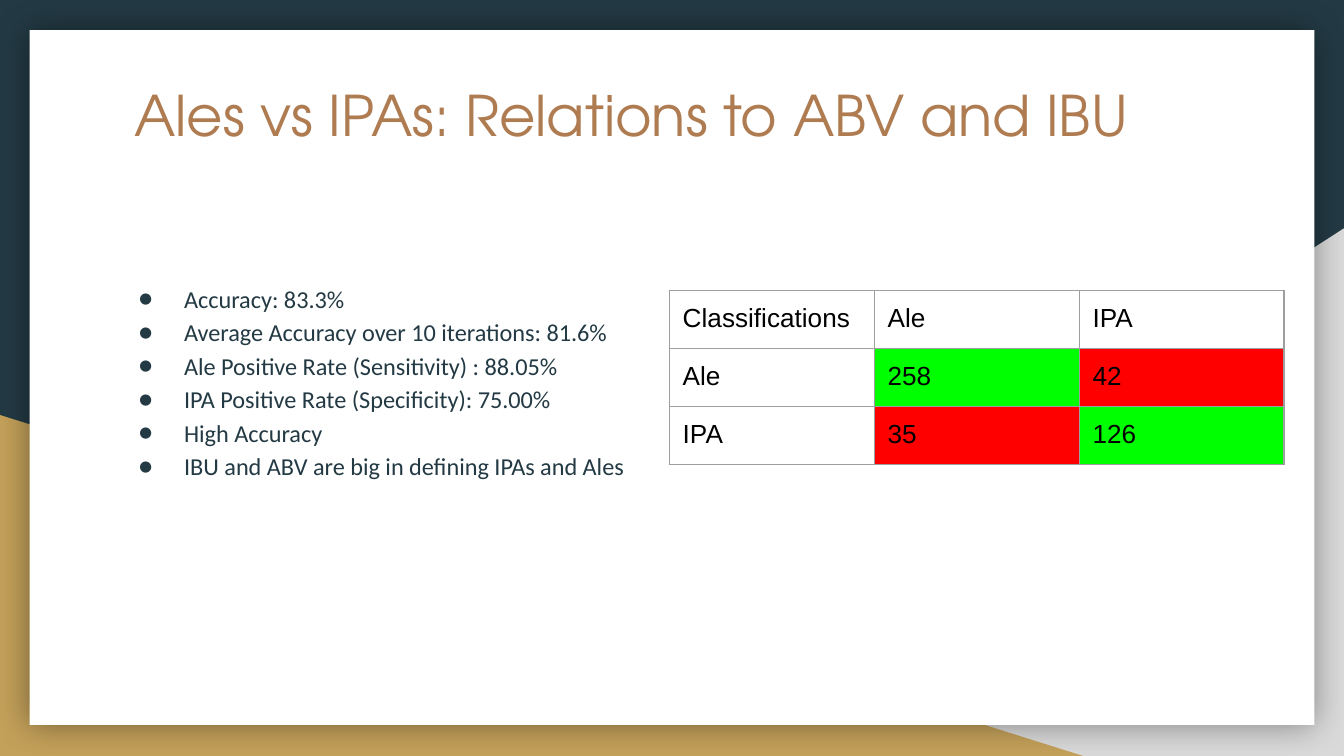
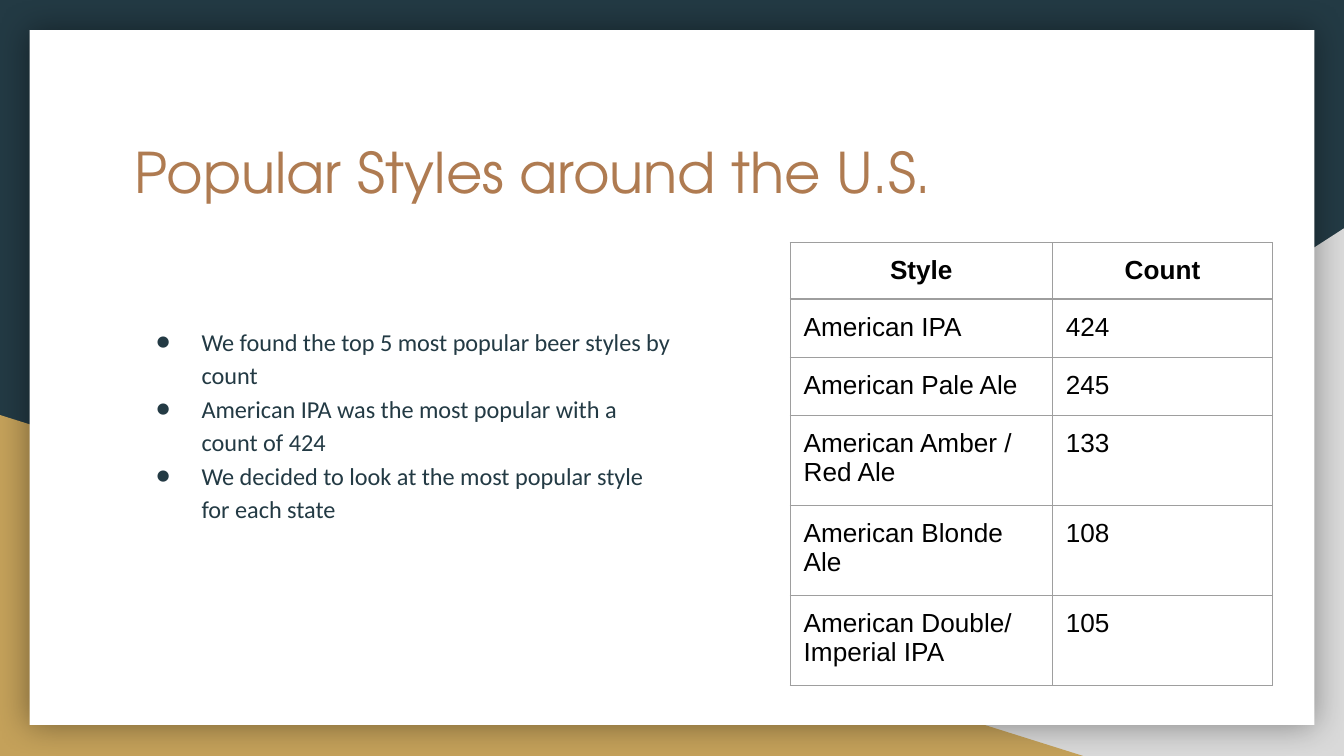
"""Build two slides on beer styles: a confusion matrix and a ranking of styles."""
from lxml import etree
from pptx import Presentation
from pptx import util as u
from pptx.dml.color import RGBColor
from pptx.enum import shapes, text
from pptx.oxml import ns

COLORS = {
    "navy": "233A44", "gold": "C4A15A", "silver": "D9D9D9", "white": "FFFFFF",
    "copper": "AF7B51", "black": "000000", "grid": "9E9E9E",
    "hit": "00FF00", "miss": "FF0000",
}
SLIDE_W, SLIDE_H = u.Inches(10), u.Inches(5.625)
INSET = u.Inches(0.1)


def across(share):
    return round(SLIDE_W * share / 100)


def down(share):
    return round(SLIDE_H * share / 100)


def to_emu(box):
    left, top, width, height = box
    return across(left), down(top), across(width), down(height)


def rgb(name):
    return RGBColor.from_string(COLORS[name])


def add_node(parent, tag, **attributes):
    node = etree.SubElement(parent, ns.qn(tag))
    for key, value in attributes.items():
        node.set(key, str(value))
    return node


def style_runs(paragraph, font, size, color, bold=False):
    for run in paragraph.runs:
        run.font.name, run.font.size, run.font.bold = font, u.Pt(size), bold
        run.font.color.rgb = rgb(color)


def set_insets(holder):
    holder.margin_left = holder.margin_right = INSET
    holder.margin_top = holder.margin_bottom = INSET


def fill_placeholder(placeholder, box, lines):
    placeholder.left, placeholder.top, placeholder.width, placeholder.height = to_emu(box)
    frame = placeholder.text_frame
    frame.text = "\n".join(lines)
    frame.word_wrap = True
    frame.auto_size = text.MSO_AUTO_SIZE.NONE
    frame.vertical_anchor = text.MSO_ANCHOR.TOP
    set_insets(frame)
    for paragraph in frame.paragraphs:
        paragraph.alignment = text.PP_ALIGN.LEFT
        paragraph.space_before = u.Pt(0)
    return frame.paragraphs


def add_title(slide, box, title):
    for paragraph in fill_placeholder(slide.shapes.title, box, [title]):
        style_runs(paragraph, "TeX Gyre Adventor", 30, "copper")


def add_findings(slide, box, findings):
    for paragraph in fill_placeholder(slide.placeholders[1], box, findings):
        paragraph.line_spacing = 1.15
        style_runs(paragraph, "Calibri", 13, "navy")
        props = paragraph._p.get_or_add_pPr()
        props.set("marL", str(u.Inches(0.5)))
        props.set("indent", str(u.Inches(-0.34)))
        add_node(add_node(props, "a:buClr"), "a:srgbClr", val=COLORS["navy"])
        add_node(props, "a:buFont", typeface="Calibri")
        add_node(props, "a:buChar", char="●")


def outline_cell(cell):
    props = cell._tc.get_or_add_tcPr()
    for position, side in enumerate(("a:lnL", "a:lnR", "a:lnT", "a:lnB")):
        line = add_node(props, side, w=u.Pt(0.75))
        add_node(add_node(line, "a:solidFill"), "a:srgbClr", val=COLORS["grid"])
        props.insert(position, line)


def add_grid(slide, corner, columns, heights, rows, fills=None, bold_header=False):
    box = to_emu((*corner, sum(columns), sum(heights)))
    table = slide.shapes.add_table(len(rows), len(columns), *box).table
    table.first_row = table.horz_banding = False
    for column, width in zip(table.columns, columns):
        column.width = across(width)
    for r, (row, height) in enumerate(zip(rows, heights)):
        table.rows[r].height = down(height)
        heading = bold_header and r == 0
        for c, value in enumerate(row):
            cell = table.cell(r, c)
            cell.text_frame.text = value
            set_insets(cell)
            paragraph = cell.text_frame.paragraphs[0]
            paragraph.alignment = text.PP_ALIGN.CENTER if heading else text.PP_ALIGN.LEFT
            style_runs(paragraph, "Arial", 14, "black", heading)
            shade = (fills or {}).get((r, c))
            if shade:
                cell.fill.solid()
                cell.fill.fore_color.rgb = rgb(shade)
            else:
                cell.fill.background()
            outline_cell(cell)


def move_backdrop_to_layout(slide, layout):
    """Draw the corner wedges and the white card, then hand them to the layout."""
    layout.background.fill.solid()
    layout.background.fill.fore_color.rgb = rgb("navy")
    triangle, rectangle = shapes.MSO_SHAPE.RIGHT_TRIANGLE, shapes.MSO_SHAPE.RECTANGLE
    parts = []
    for preset, box, color in (
        (triangle, (39.2, 30.2, 60.8, 69.8), "silver"),
        (triangle, (0, 54.9, 80.6, 45.1), "gold"),
        (rectangle, (2.2, 4, 95.6, 91.9), "white"),
    ):
        part = slide.shapes.add_shape(preset, *to_emu(box))
        part.shadow.inherit = False
        part.fill.solid()
        part.fill.fore_color.rgb = rgb(color)
        part.line.fill.background()
        parts.append(part)
    right_wedge, _, card = parts
    right_wedge.element.spPr.find(ns.qn("a:xfrm")).set("flipH", "1")
    effects = card.element.spPr.find(ns.qn("a:effectLst"))
    glow = add_node(effects, "a:outerShdw", blurRad=u.Pt(18), dist=0, algn="ctr", rotWithShape=0)
    add_node(add_node(glow, "a:srgbClr", val=COLORS["black"]), "a:alpha", val=40000)
    for position, part in enumerate(parts, start=2):
        layout.shapes.element.insert(position, part.element)


def build_classification(slide):
    add_title(slide, (9, 8.9, 82.1, 18.5), "Ales vs IPAs: Relations to ABV and IBU")
    add_findings(slide, (7.7, 35.2, 41, 29.7), [
        "Accuracy: 83.3%",
        "Average Accuracy over 10 iterations: 81.6%",
        "Ale Positive Rate (Sensitivity) : 88.05%",
        "IPA Positive Rate (Specificity): 75.00%",
        "High Accuracy",
        "IBU and ABV are big in defining IPAs and Ales",
    ])
    confusion = [
        ("Classifications", "Ale", "IPA"),
        ("Ale", "258", "42"),
        ("IPA", "35", "126"),
    ]
    verdicts = {(r, c): "hit" if r == c else "miss" for r in (1, 2) for c in (1, 2)}
    add_grid(slide, (49.8, 38.4), [15.25] * 3, [7.7] * 3, confusion, verdicts)


def build_popular_styles(slide):
    add_title(slide, (9, 16.4, 82.1, 18.5), "Popular Styles around the U.S.")
    add_findings(slide, (9, 40.9, 42.2, 47.6), [
        "We found the top 5 most popular beer styles by count",
        "American IPA was the most popular with a count of 424",
        "We decided to look at the most popular style for each state",
    ])
    ranking = [
        ("Style", "Count"),
        ("American IPA", "424"),
        ("American Pale Ale", "245"),
        ("American Amber / Red Ale", "133"),
        ("American Blonde Ale", "108"),
        ("American Double/ Imperial IPA", "105"),
    ]
    heights = [7.4] + [7.7] * 2 + [11.9] * 3
    add_grid(slide, (58.8, 32.1), [19.5, 16.4], heights, ranking, bold_header=True)


def main():
    deck = Presentation()
    deck.slide_width, deck.slide_height = SLIDE_W, SLIDE_H
    layout = deck.slide_layouts[1]
    classification, popular_styles = (deck.slides.add_slide(layout) for _ in range(2))
    move_backdrop_to_layout(classification, layout)
    build_classification(classification)
    build_popular_styles(popular_styles)
    deck.save("out.pptx")


if __name__ == "__main__":
    main()
